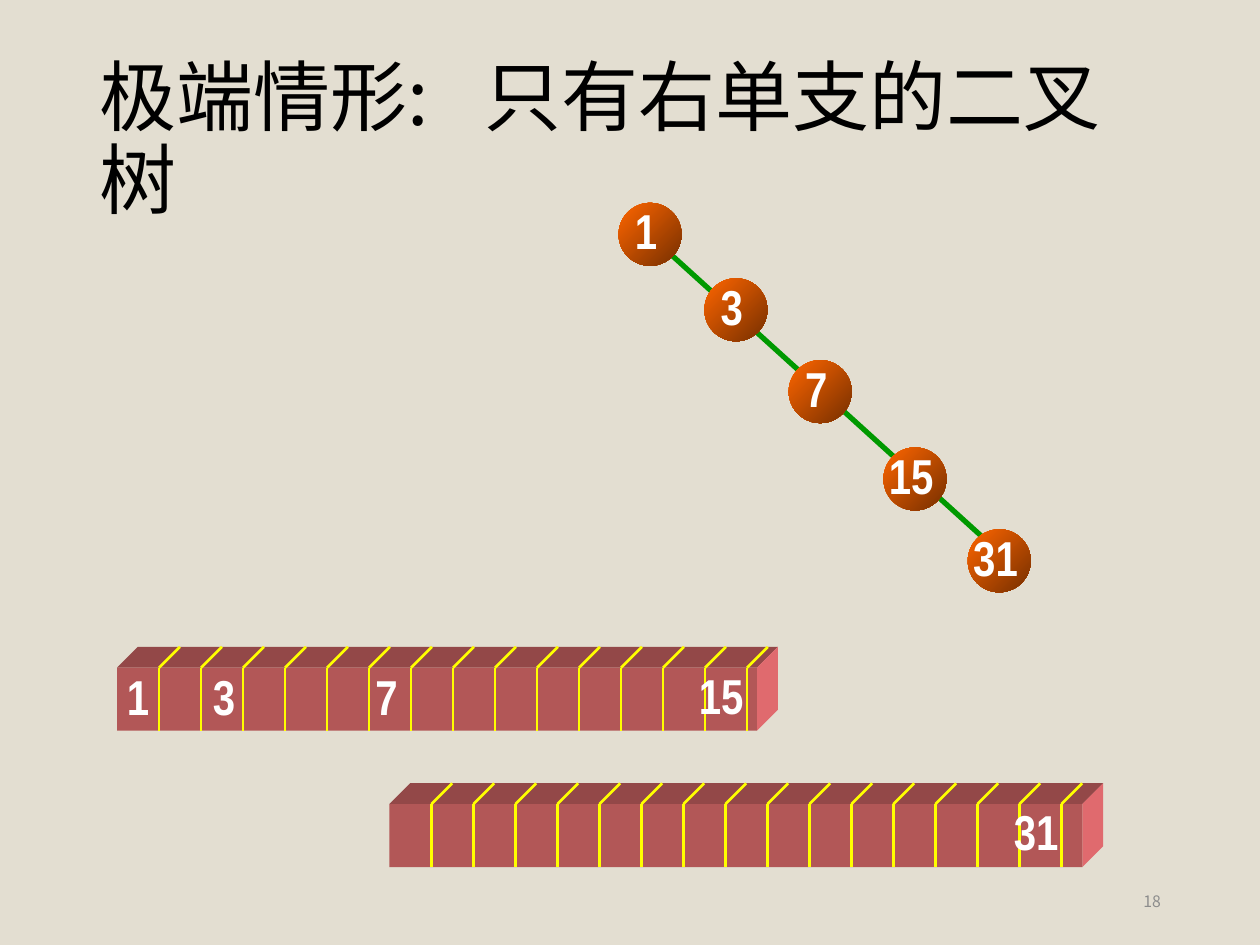
from dataclasses import dataclass

from lxml.etree import SubElement
from pptx import Presentation
from pptx.dml.color import RGBColor
from pptx.enum.shapes import MSO_CONNECTOR, MSO_SHAPE
from pptx.enum.text import MSO_ANCHOR, MSO_AUTO_SIZE, PP_ALIGN
from pptx.oxml.ns import qn
from pptx.util import Cm, Pt


@dataclass(frozen=True)
class Theme:
    """Colours, fonts and type sizes of the slide."""

    background: str = "E3DED1"
    title: str = "000000"
    label: str = "FFFFFF"
    page: str = "8C8C8C"
    edge: str = "009900"
    tick: str = "FFFF00"
    node_light: str = "FF6600"
    node_dark: str = "762F00"
    bar_front: str = "B25757"
    bar_top: str = "934848"
    bar_side: str = "E06A6E"
    text_font: str = "Noto Sans CJK SC"
    label_font: str = "Arial Narrow"
    title_size: int = 44
    label_size: int = 28
    page_size: int = 9


def rgb(value):
    """Turn a hex string into a colour."""
    return RGBColor.from_string(value)


class TreeSlide:
    """Holds the theme and the slide being drawn."""

    BAR_HEIGHT = 1.27
    DEPTH = 0.42
    CELL = 2.54 / 3
    NODE = 1.27

    def __init__(self, slide, theme):
        """Keep the slide and paint its background."""
        self.shapes = slide.shapes
        self.theme = theme
        slide.background.fill.solid()
        slide.background.fill.fore_color.rgb = rgb(theme.background)

    def text_box(self, left, top, width, height, wrap, align):
        """Add an empty text box and return its frame and first paragraph."""
        frame = self.shapes.add_textbox(Cm(left), Cm(top), Cm(width), Cm(height)).text_frame
        frame.word_wrap = wrap
        frame.vertical_anchor = MSO_ANCHOR.MIDDLE
        frame.paragraphs[0].alignment = align
        return frame, frame.paragraphs[0]

    def run(self, paragraph, text, font, size, color, bold=False, spacing=None):
        """Add one styled run."""
        run = paragraph.add_run()
        run.text = text
        run.font.size = Pt(size)
        run.font.bold = bold
        run.font.color.rgb = rgb(color)
        run.font.name = font
        properties = run.font._element
        SubElement(properties, qn("a:ea")).set("typeface", font)
        if spacing:
            properties.set("spc", str(spacing))

    def title(self, pieces):
        """Add the title from pairs of text and letter spacing."""
        theme = self.theme
        _, paragraph = self.text_box(1.75, 1.02, 21.9, 3.68, True, PP_ALIGN.LEFT)
        paragraph.line_spacing = 0.9
        for text, spacing in pieces:
            self.run(paragraph, text, theme.text_font, theme.title_size, theme.title, spacing=spacing)

    def page_number(self, text):
        """Add the page number."""
        theme = self.theme
        _, paragraph = self.text_box(17.93, 17.65, 5.72, 1.02, True, PP_ALIGN.RIGHT)
        self.run(paragraph, text, theme.text_font, theme.page_size, theme.page)

    def label(self, text, left, top, align=PP_ALIGN.LEFT):
        """Add a bold number."""
        theme = self.theme
        width = 0.97 if len(text) == 1 else 1.42
        frame, paragraph = self.text_box(left, top, width, 1.45, False, align)
        frame.auto_size = MSO_AUTO_SIZE.SHAPE_TO_FIT_TEXT
        self.run(paragraph, text, theme.label_font, theme.label_size, theme.label, bold=True)

    def line(self, start, end, color, width):
        """Add a straight line between two points."""
        connector = self.shapes.add_connector(
            MSO_CONNECTOR.STRAIGHT, *(Cm(value) for value in (*start, *end)))
        connector.line.color.rgb = rgb(color)
        connector.line.width = Pt(width)
        SubElement(connector._element.spPr, qn("a:effectLst"))

    def paint(self, shape, color):
        """Give a shape a plain fill with no outline."""
        shape.shadow.inherit = False
        shape.fill.solid()
        shape.fill.fore_color.rgb = rgb(color)
        shape.line.fill.background()

    def face(self, points, color):
        """Add a filled polygon."""
        corners = [(Cm(x), Cm(y)) for x, y in points]
        builder = self.shapes.build_freeform(*corners[0], scale=1.0)
        builder.add_line_segments(corners[1:], close=True)
        self.paint(builder.convert_to_shape(), color)

    def bar(self, left, top, width, ticks):
        """Add a solid array bar divided into cells."""
        theme, depth = self.theme, self.DEPTH
        right, bottom = left + width, top + self.BAR_HEIGHT
        back = (right + depth, top - depth)
        self.face([(left, top), (left + depth, top - depth), back, (right, top)], theme.bar_top)
        self.face([(right, top), back, (right + depth, bottom - depth), (right, bottom)], theme.bar_side)
        front = self.shapes.add_shape(
            MSO_SHAPE.RECTANGLE, Cm(left), Cm(top), Cm(width), Cm(self.BAR_HEIGHT))
        self.paint(front, theme.bar_front)
        for index in range(1, ticks + 1):
            x = left + index * self.CELL
            self.line((x, top), (x, bottom), theme.tick, 1.5)
            self.line((x, top), (x + depth, top - depth), theme.tick, 1.5)

    def node(self, text, left, top):
        """Add a tree node with its number."""
        shape = self.shapes.add_shape(
            MSO_SHAPE.OVAL, Cm(left), Cm(top), Cm(self.NODE), Cm(self.NODE))
        shape.shadow.inherit = False
        shape.line.fill.background()
        shape.fill.gradient()
        shape.fill.gradient_angle = 315
        colors = (self.theme.node_light, self.theme.node_dark)
        for stop, color in zip(shape.fill.gradient_stops, colors):
            stop.color.rgb = rgb(color)
        shift = 0.07 if len(text) == 1 else -0.15
        self.label(text, left + shift, top - 0.17, PP_ALIGN.CENTER)


def main():
    """Build and save the slide."""
    presentation = Presentation()
    presentation.slide_width, presentation.slide_height = Cm(25.4), Cm(19.05)
    theme = Theme()
    page = TreeSlide(presentation.slides.add_slide(presentation.slide_layouts[6]), theme)

    page.bar(2.36, 13.46, 12.9, ticks=15)
    page.bar(7.85, 16.21, 13.97, ticks=16)
    for text, left, top in (("1", 2.31, 13.31), ("3", 4.04, 13.31), ("7", 7.32, 13.31),
                            ("15", 13.84, 13.28), ("31", 20.19, 16.03)):
        page.label(text, left, top)

    page.line((13.36, 4.98), (20.14, 11.13), theme.edge, 3)
    for text, left, top in (("1", 12.47, 4.09), ("3", 14.2, 5.61), ("7", 15.9, 7.26),
                            ("15", 17.81, 9.02), ("31", 19.51, 10.67)):
        page.node(text, left, top)

    page.title([("极端情形", None), (": ", 1100), ("只有右单支的二叉树", None)])
    page.page_number("18")
    presentation.save("out.pptx")


if __name__ == "__main__":
    main()
